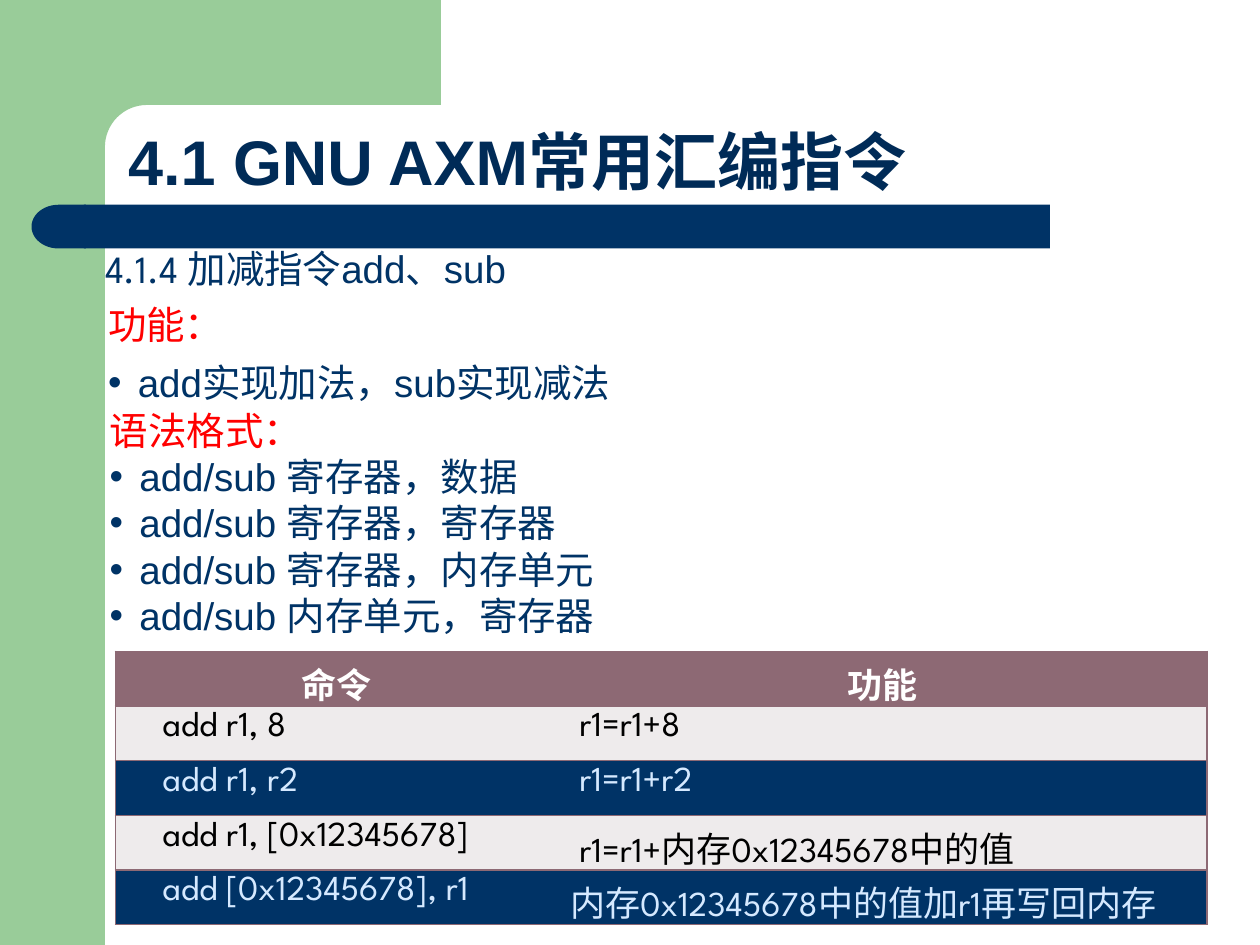
from math import cos, pi, sin

from lxml import etree
from pptx import Presentation
from pptx.dml.color import RGBColor
from pptx.enum import shapes, text
from pptx.oxml import ns
from pptx.util import Pt

GREEN, NAVY, TITLE_NAVY, RED = "99CC99", "003366", "002B57", "FF0000"
PLUM, PALE, ICE, BLACK, WHITE = "8D6974", "EEEBEC", "D5E9FF", "000000", "FFFFFF"
SANS, SPARTAN = "Arial", "League Spartan"
NO_TABLE_STYLE = "{2D5ABB26-0587-4C30-8999-92F81FD0307C}"
ROW_HEIGHT = 31.2


def rgb(value):
    return RGBColor.from_string(value)


def points(box):
    return [Pt(length) for length in box]


def paint(shape, color):
    shape.shadow.inherit = False
    shape.fill.solid()
    shape.fill.fore_color.rgb = rgb(color)
    shape.line.fill.background()


def add_run(paragraph, words, size, color, font=SANS, bold=False):
    run = paragraph.add_run()
    run.text = words
    run.font.size, run.font.name, run.font.bold = Pt(size), font, bold
    run.font.color.rgb = rgb(color)


def set_bullet(paragraph, char=None, hang=0):
    props = paragraph._p.get_or_add_pPr()
    props.set("marL", str(Pt(hang)))
    props.set("indent", str(-Pt(hang)))
    if char:
        etree.SubElement(props, ns.qn("a:buFont")).set("typeface", SANS)
        etree.SubElement(props, ns.qn("a:buChar")).set("char", char)
    else:
        etree.SubElement(props, ns.qn("a:buNone"))


def add_block(slide, box):
    block = slide.shapes.add_textbox(*points(box))
    block.text_frame.word_wrap = True
    return block.text_frame


def place(placeholder, box):
    placeholder.left, placeholder.top, placeholder.width, placeholder.height = points(box)
    frame = placeholder.text_frame
    frame.word_wrap = True
    frame.auto_size = text.MSO_AUTO_SIZE.NONE
    return frame


def fill_list(frame, heading, items, heading_spacing=1.0, item_spacing=1.0):
    """Red heading followed by bulleted navy items."""
    for index, words in enumerate([heading, *items]):
        line = frame.paragraphs[0] if index == 0 else frame.add_paragraph()
        set_bullet(line, "•" if index else None, 17 if index else 0)
        line.space_before = Pt(0)
        line.line_spacing = item_spacing if index else heading_spacing
        add_run(line, words, 22, NAVY if index else RED)


def draw_frame(slide, box):
    """Green side bar and corner, with the navy bar below the title."""
    left, top, width, height = box
    edge, radius = left + 60, 24
    side = slide.shapes.add_shape(
        shapes.MSO_SHAPE.RECTANGLE, *points((left, top, 60, height)))
    paint(side, GREEN)

    # Corner block with a rounded inner edge
    center = (edge + radius, top + 60 + radius)
    steps = 16
    arc = [(center[0] - radius * sin(pi / 2 * i / steps),
            center[1] - radius * cos(pi / 2 * i / steps)) for i in range(steps + 1)]
    outline = [(left + 252, top), (left + 252, top + 60), *arc,
               (edge, top + 92), (left + 36, top + 92)]
    builder = slide.shapes.build_freeform(Pt(left + 36), Pt(top))
    builder.add_line_segments([points(spot) for spot in outline], close=True)
    paint(builder.convert_to_shape(), GREEN)

    # Navy bar with a round left end
    bar = slide.shapes.add_shape(
        shapes.MSO_SHAPE.RECTANGLE, *points((left + 48, top + 117, 552, 25)))
    paint(bar, NAVY)
    bar_end = slide.shapes.add_shape(
        shapes.MSO_SHAPE.FLOWCHART_DELAY, *points((left + 18, top + 117, 31, 25)))
    bar_end.rotation = 180
    paint(bar_end, NAVY)


def write_title(slide, box):
    frame = place(slide.shapes.title, box)
    frame.vertical_anchor = text.MSO_ANCHOR.BOTTOM
    line = frame.paragraphs[0]
    line.alignment = text.PP_ALIGN.LEFT
    line.line_spacing = 0.9
    add_run(line, "4.1 GNU AXM常用汇编指令", 36, TITLE_NAVY, bold=True)


def write_section(slide, box):
    line = add_block(slide, box).paragraphs[0]
    line._p.get_or_add_pPr().set("marL", str(Pt(5)))
    line.line_spacing = 0.9
    add_run(line, "4.1.4 ", 22, NAVY, SPARTAN)
    add_run(line, "加减指令add、sub", 22, NAVY)


def write_function(slide, box):
    fill_list(add_block(slide, box), "功能：", ["add实现加法，sub实现减法"], 0.9, 1.25)


def write_syntax(slide, box):
    operands = ["寄存器，数据", "寄存器，寄存器", "寄存器，内存单元", "内存单元，寄存器"]
    frame = place(slide.placeholders[1], box)
    fill_list(frame, "语法格式：", [f"add/sub {pair}" for pair in operands])


def add_grid(slide, box, rows, widths):
    """Unstyled table with equal rows."""
    grid = slide.shapes.add_table(rows, len(widths), *points(box)).table
    props = grid._tbl.tblPr
    props.find(ns.qn("a:tableStyleId")).text = NO_TABLE_STYLE
    grid.first_row = grid.horz_banding = False
    for column, width in zip(grid.columns, widths):
        column.width = Pt(width)
    for row in grid.rows:
        row.height = Pt(ROW_HEIGHT)
    return grid


def style_cell(cell, fill, sides):
    props = cell._tc.get_or_add_tcPr()
    for side in sides:
        border = etree.SubElement(props, ns.qn(f"a:ln{side}"), w=str(Pt(1)))
        solid = etree.SubElement(border, ns.qn("a:solidFill"))
        etree.SubElement(solid, ns.qn("a:srgbClr")).set("val", PLUM)
    cell.fill.solid()
    cell.fill.fore_color.rgb = rgb(fill)


def band(index):
    return (NAVY, ICE) if index % 2 else (PALE, BLACK)


def write_cell(cell, words, color, margin=7.2):
    cell.margin_left = Pt(margin)
    add_run(cell.text_frame.paragraphs[0], words, 20, color, SPARTAN)


def draw_commands(slide, box):
    """Header row and the command column."""
    commands = ["add r1, 8", "add r1, r2", "add r1, [0x12345678]", "add [0x12345678], r1"]
    grid = add_grid(slide, box, len(commands) + 1, (252.6, box[2] - 252.6))
    for column, heading in enumerate(["命令", "功能"]):
        cell = grid.cell(0, column)
        style_cell(cell, PLUM, "RTB" if column else "LTB")
        line = cell.text_frame.paragraphs[0]
        line.alignment = text.PP_ALIGN.CENTER
        add_run(line, heading, 20, WHITE, SPARTAN, bold=True)
    for index, command in enumerate(commands):
        fill, color = band(index)
        style_cell(grid.cell(index + 1, 0), fill, "LTB")
        style_cell(grid.cell(index + 1, 1), fill, "RTB")
        write_cell(grid.cell(index + 1, 0), command, color, 27)


def draw_effects(slide, box):
    """Effect of each command, over the right column."""
    effects = [("r1=r1+8", 12.5), ("r1=r1+r2", 12.5), ("r1=r1+内存0x12345678中的值", 12.5),
               ("内存0x12345678中的值加r1再写回内存", 7.2)]
    grid = add_grid(slide, box, len(effects), (box[2],))
    for index, (effect, margin) in enumerate(effects):
        fill, color = band(index)
        style_cell(grid.cell(index, 0), fill, "RTB")
        write_cell(grid.cell(index, 0), effect, color, margin)


def main():
    deck = Presentation()
    deck.slide_width, deck.slide_height = Pt(720), Pt(540)
    slide = deck.slides.add_slide(deck.slide_layouts[1])
    draw_frame(slide, (0, 0, 720, 540))
    write_title(slide, (66, 60, 624, 57.5))
    write_section(slide, (48, 139.5, 648, 48))
    write_syntax(slide, (55.5, 229, 624, 140.5))
    draw_commands(slide, (66, 372.2, 623.6, 5 * ROW_HEIGHT))
    write_function(slide, (54.7, 171.4, 646.6, 61))
    draw_effects(slide, (318.6, 372.2 + ROW_HEIGHT, 371, 4 * ROW_HEIGHT))
    deck.save("out.pptx")


if __name__ == "__main__":
    main()
